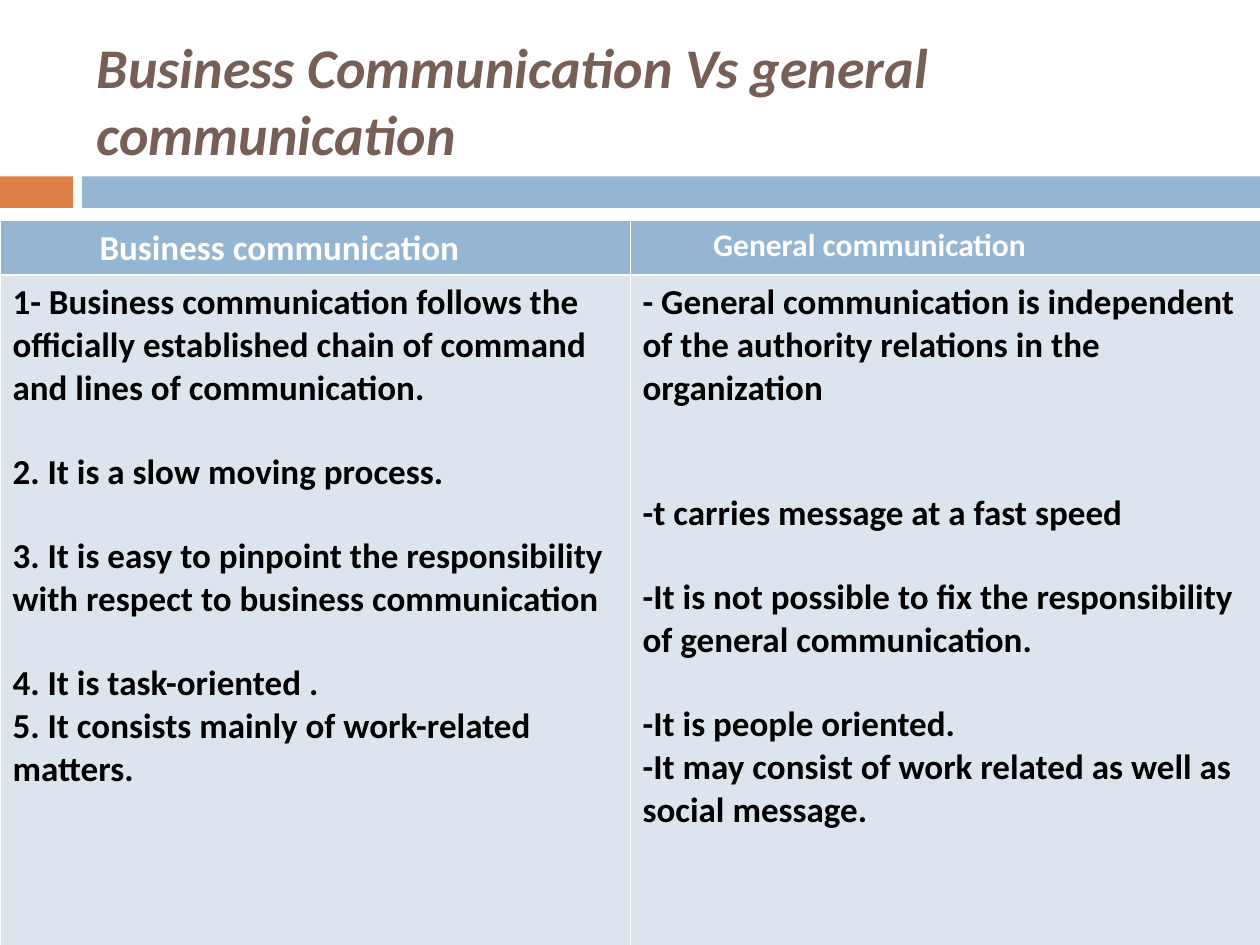
from lxml import etree
from pptx import Presentation
from pptx.dml import color
from pptx.enum import shapes, text
from pptx.oxml import ns
from pptx.util import Inches, Pt

COLORS = {
    "orange": "DD8047",
    "blue": "94B6D2",
    "pale": "DCE5EE",
    "brown": "775F55",
    "white": "FFFFFF",
    "black": "000000",
}


def style_paragraph(paragraph, size, color_name, italic=False):
    for run in paragraph.runs:
        run.font.name = "Calibri"
        run.font.size = Pt(size)
        run.font.bold = True
        run.font.italic = italic
        run.font.color.rgb = color.RGBColor.from_string(COLORS[color_name])


def style_cell(cell, fill_name, thick_side):
    # Borders come before the fill in the cell properties
    properties = cell._tc.get_or_add_tcPr()
    for side in "LRTB":
        width = 1.47 if side == thick_side else 0.45
        line = etree.SubElement(properties, ns.qn(f"a:ln{side}"), w=str(Pt(width)))
        line_fill = etree.SubElement(line, ns.qn("a:solidFill"))
        etree.SubElement(line_fill, ns.qn("a:srgbClr"), val=COLORS["white"])
    cell.fill.solid()
    cell.fill.fore_color.rgb = color.RGBColor.from_string(COLORS[fill_name])


presentation = Presentation()
presentation.slide_width = Inches(10)
presentation.slide_height = Inches(7.5)
slide = presentation.slides.add_slide(presentation.slide_layouts[6])

# Divider bars under the title
for left, width, color_name in [(0, 0.58, "orange"), (0.65, 9.35, "blue")]:
    bar = slide.shapes.add_shape(
        shapes.MSO_SHAPE.RECTANGLE, Inches(left), Inches(1.4), Inches(width), Inches(0.25)
    )
    bar.shadow.inherit = False
    bar.fill.solid()
    bar.fill.fore_color.rgb = color.RGBColor.from_string(COLORS[color_name])
    bar.line.fill.background()

# Title
title = slide.shapes.add_textbox(Inches(0.67), Inches(0.25), Inches(8.92), Inches(1.08))
title.text_frame.word_wrap = True
title.text_frame.vertical_anchor = text.MSO_ANCHOR.MIDDLE
title.text_frame.text = "Business Communication Vs general communication"
style_paragraph(title.text_frame.paragraphs[0], 32, "brown", italic=True)

# Comparison table: heading, size, left margin, then (text, space before in points)
columns = [
    ("Business communication", 20, 0.79, [
        ("1- Business communication follows the officially established chain of "
         "command and lines of communication.", 0),
        ("2. It is a slow moving process.", 23.5),
        ("3. It is easy to pinpoint the responsibility with respect to business "
         "communication", 23.5),
        ("4. It is task-oriented .", 23.5),
        ("5. It consists mainly of work-related matters.", 0),
    ]),
    ("General communication", 18, 0.66, [
        ("- General communication is independent of the authority relations in "
         "the organization", 0),
        ("-t carries message at a fast speed", 47),
        ("-It is not possible to fix the responsibility of general communication.", 23.5),
        ("-It is people oriented.", 23.5),
        ("-It may consist of work related as well as social message.", 0),
    ]),
]
table = slide.shapes.add_table(
    2, len(columns), Inches(0), Inches(1.75), Inches(10), Inches(6.83)
).table
table.rows[0].height = Inches(0.43)
table.rows[1].height = Inches(6.4)

for index, (heading, heading_size, heading_margin, points) in enumerate(columns):
    header = table.cell(0, index)
    style_cell(header, "blue", "B")
    header.margin_left = Inches(heading_margin)
    header.text_frame.text = heading
    style_paragraph(header.text_frame.paragraphs[0], heading_size, "white")

    body = table.cell(1, index)
    style_cell(body, "pale", "T")
    body.text_frame.text = "\n".join(point for point, gap in points)
    for paragraph, (point, gap) in zip(body.text_frame.paragraphs, points):
        if gap:
            paragraph.space_before = Pt(gap)
        style_paragraph(paragraph, 20, "black")

presentation.save("out.pptx")
